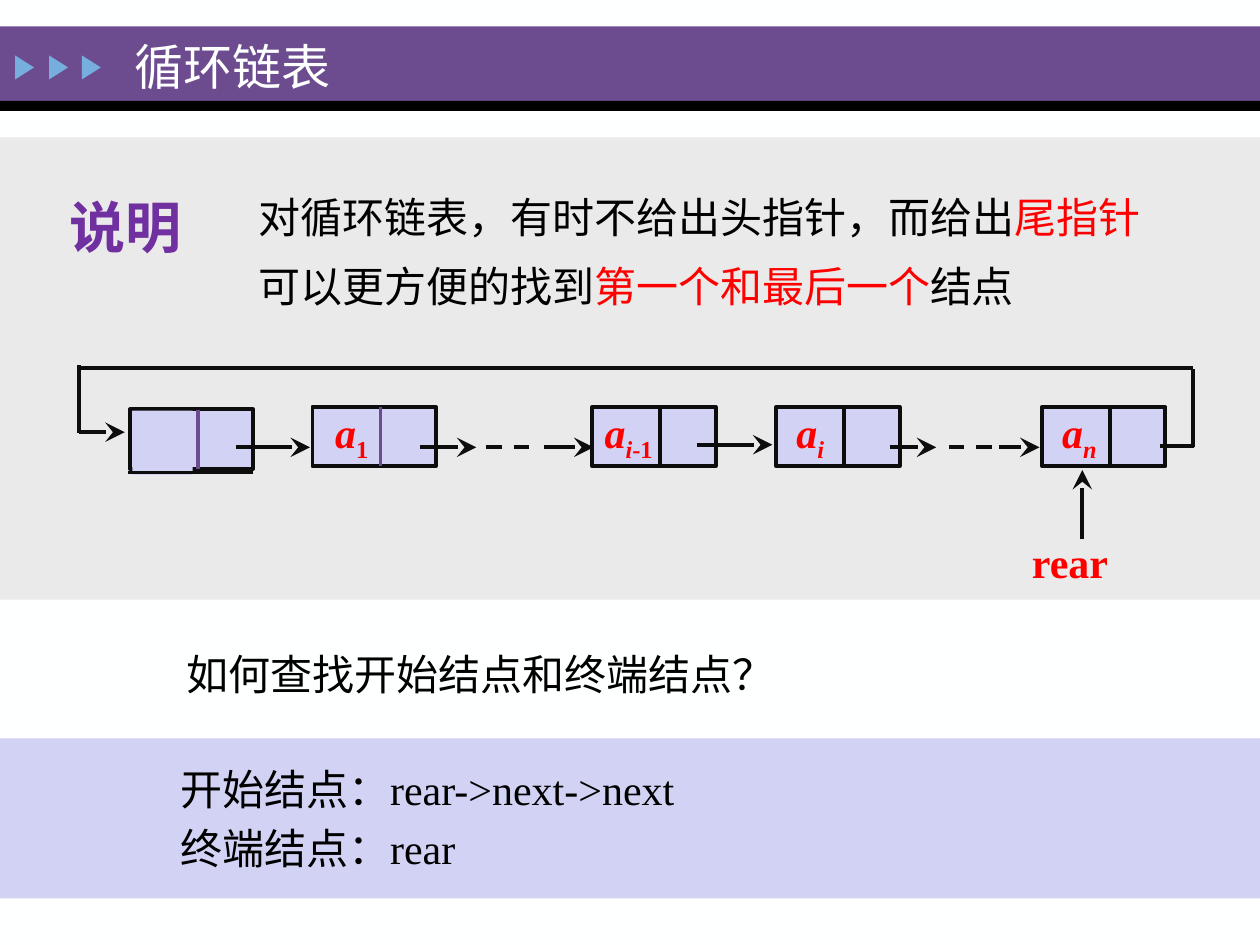
from lxml import etree
from pptx import Presentation
from pptx.dml.color import RGBColor
from pptx.enum import dml, shapes, text
from pptx.oxml.ns import qn
from pptx.util import Inches, Pt

COLORS = {
    "background": "FEFFFF", "purple": "6C4C8F", "black": "000000",
    "blue": "76AEDD", "gray": "EAEAEA", "lavender": "D2D2F4",
    "ink": "0D0D0D", "red": "FF0000", "violet": "7030A0",
}
FONT = "Times New Roman"

TITLE = "循环链表"
EXPLANATION = [
    [("对循环链表，有时不给出头指针，而给出", "black"), ("尾指针", "red")],
    [("可以更方便的找到", "black"), ("第一个和最后一个", "red"), ("结点", "black")],
]
HEADING = [[("说明", "violet")]]
QUESTION = [[("如何查找开始结点和终端结点？", "black")]]
ANSWERS = [
    [("开始结点：rear->next->next", "black")],
    [("终端结点：rear", "black")],
]

BANDS = [
    (0, 0.21, 10, 0.59, "purple"),
    (0, 0.8, 10, 0.08, "black"),
    (0, 1.09, 10, 3.67, "gray"),
]
MARKER_LEFTS = [0.1, 0.37, 0.63]

NODE_WIDTH, NODE_HEIGHT, DATA_WIDTH = 0.98, 0.47, 0.54
NODES = [
    (1.03, 3.25, [], 0.1, "purple"),
    (2.48, 3.23, [("1", False)], 0.18, "purple"),
    (4.7, 3.23, [("i", True), ("-1", False)], 0.1, "ink"),
    (6.16, 3.23, [("i", True)], 0.16, "ink"),
    (8.27, 3.23, [("n", True)], 0.16, "ink"),
]

ARROWS = [
    (1.87, 3.55, 2.46, 3.55), (3.33, 3.55, 3.78, 3.55),
    (4.32, 3.55, 4.71, 3.55), (5.53, 3.53, 6.13, 3.53),
    (7.06, 3.55, 7.43, 3.55), (7.93, 3.55, 8.25, 3.55),
    (0.63, 3.43, 0.99, 3.43), (8.59, 4.28, 8.59, 3.73),
]
DASHES = [(3.86, 3.55, 4.21, 3.55), (7.53, 3.55, 7.88, 3.55)]
RETURN_PATH = [
    (9.48, 3.54, 9.21, 3.54), (9.47, 2.93, 9.47, 3.55),
    (0.61, 2.92, 9.47, 2.92), (0.63, 2.9, 0.63, 3.44),
    (2.01, 3.75, 1.02, 3.75),
]


def rgb(color):
    return RGBColor.from_string(COLORS[color])


def style(run, color, size=24, bold=False, italic=False):
    font = run.font
    font.name, font.size, font.bold, font.italic = FONT, Pt(size), bold, italic
    font.color.rgb = rgb(color)


def write(frame, paragraphs, size=24, bold=False, spacing=None):
    frame.word_wrap = True
    for index, parts in enumerate(paragraphs):
        paragraph = frame.paragraphs[0] if index == 0 else frame.add_paragraph()
        paragraph.alignment = text.PP_ALIGN.LEFT
        paragraph.line_spacing = spacing
        if index:
            paragraph.space_before = Pt(size * 0.2)
        for words, color in parts:
            run = paragraph.add_run()
            run.text = words
            style(run, color, size, bold)


def add_text(slide, left, top, width, height, paragraphs, **options):
    box = slide.shapes.add_textbox(*map(Inches, (left, top, width, height)))
    write(box.text_frame, paragraphs, **options)
    return box.text_frame


def add_block(slide, left, top, width, height, fill, kind=shapes.MSO_SHAPE.RECTANGLE):
    block = slide.shapes.add_shape(kind, *map(Inches, (left, top, width, height)))
    block.shadow.inherit = False
    block.fill.solid()
    block.fill.fore_color.rgb = rgb(fill)
    block.line.fill.background()
    return block


def add_line(slide, ends, color="ink", dashed=False, arrow=False):
    connector = slide.shapes.add_connector(
        shapes.MSO_CONNECTOR.STRAIGHT, *map(Inches, ends))
    connector.line.color.rgb = rgb(color)
    connector.line.width = Pt(2.25)
    if dashed:
        connector.line.dash_style = dml.MSO_LINE.DASH
    if arrow:
        etree.SubElement(connector.line._get_or_add_ln(), qn("a:tailEnd"),
                         type="stealth", w="lg", len="lg")
    etree.SubElement(connector._element.spPr, qn("a:effectLst"))


def add_node(slide, left, top, subscripts, inset, divider):
    node = add_block(slide, left, top, NODE_WIDTH, NODE_HEIGHT, "lavender")
    node.line.color.rgb = rgb("ink")
    node.line.width = Pt(2.25)
    if subscripts:
        frame = node.text_frame
        frame.vertical_anchor = text.MSO_ANCHOR.TOP
        frame.margin_left, frame.margin_bottom = Inches(inset), Inches(0.08)
        frame.margin_top = frame.margin_right = 0
        write(frame, [[("a", "red")]], bold=True, spacing=0.9)
        label = frame.paragraphs[0]
        label.runs[0].font.italic = True
        for words, italic in subscripts:
            run = label.add_run()
            run.text = words
            style(run, "red", bold=True, italic=italic)
            run.font._element.set("baseline", "-25000")
    middle = left + DATA_WIDTH
    add_line(slide, (middle, top, middle, top + NODE_HEIGHT), divider)


def main():
    deck = Presentation()
    deck.slide_width, deck.slide_height = Inches(10), Inches(7.5)
    slide = deck.slides.add_slide(deck.slide_layouts[5])
    slide.background.fill.solid()
    slide.background.fill.fore_color.rgb = rgb("background")

    for band in BANDS:
        add_block(slide, *band)
    for left in MARKER_LEFTS:
        marker = add_block(slide, left, 0.46, 0.19, 0.15, "blue",
                           shapes.MSO_SHAPE.ISOSCELES_TRIANGLE)
        marker.rotation = 90

    add_text(slide, 1.95, 1.39, 7.4, 1.15, EXPLANATION, spacing=1.2)
    add_text(slide, 0.45, 1.48, 1.26, 0.64, HEADING, size=32, bold=True)

    for node in NODES:
        add_node(slide, *node)
    add_block(slide, 1.05, 3.26, 0.48, 0.51, "lavender")
    for ends in ARROWS:
        add_line(slide, ends, arrow=True)
    for ends in DASHES:
        add_line(slide, ends, dashed=True)
    for ends in RETURN_PATH:
        add_line(slide, ends)
    rear = add_text(slide, 8.19, 4.26, 0.83, 0.51, [[("rear", "red")]], bold=True)
    rear.margin_left = rear.margin_top = rear.margin_right = 0
    rear.margin_bottom = Inches(0.04)

    add_text(slide, 1.38, 5.1, 6.35, 0.51, QUESTION)
    answers = add_block(slide, 0, 5.86, 10, 1.27, "lavender").text_frame
    answers.vertical_anchor = text.MSO_ANCHOR.MIDDLE
    answers.margin_left = Inches(1.43)
    write(answers, ANSWERS)

    title = slide.shapes.title
    title.left, title.top = Inches(0.97), Inches(0.15)
    title.width, title.height = Inches(7.84), Inches(0.75)
    title.text_frame.auto_size = text.MSO_AUTO_SIZE.NONE
    title.text_frame.vertical_anchor = text.MSO_ANCHOR.MIDDLE
    write(title.text_frame, [[(TITLE, "background")]], size=28)
    slide.shapes._spTree.append(title._element)

    deck.save("out.pptx")


if __name__ == "__main__":
    main()
